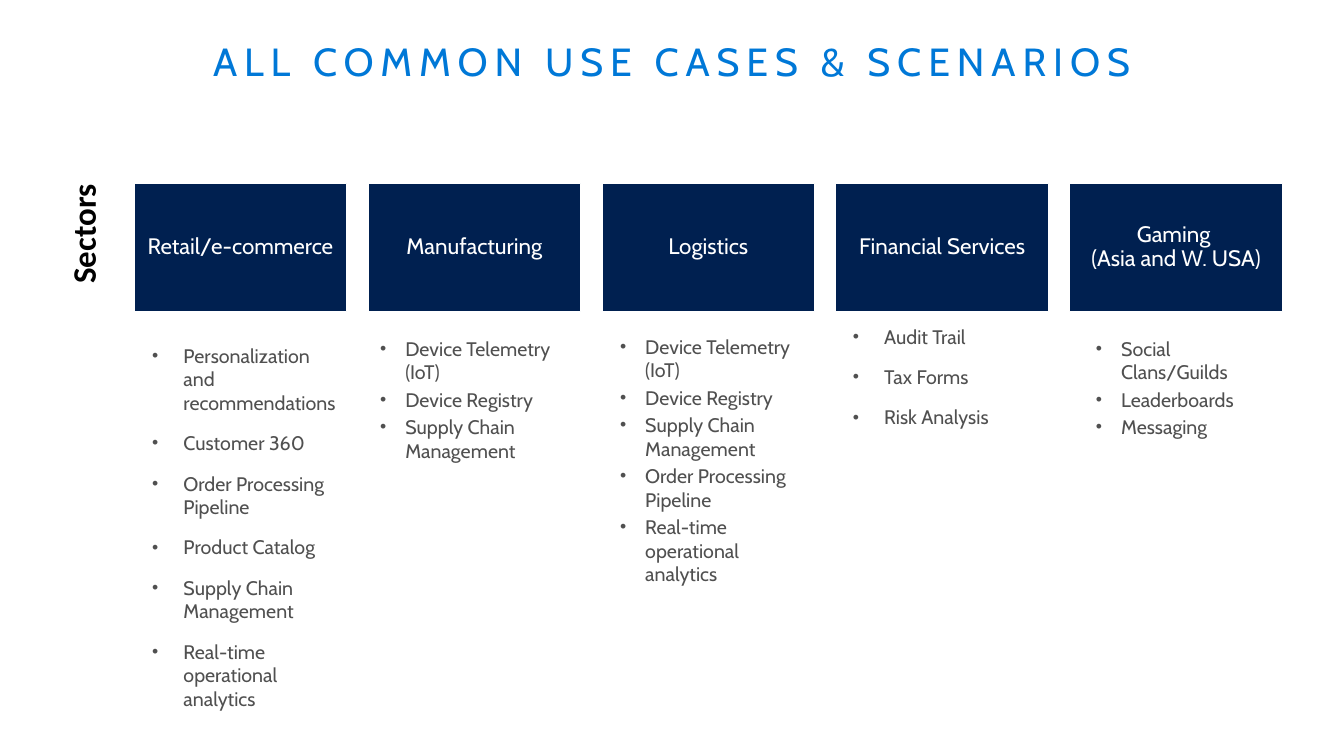
from dataclasses import dataclass

from lxml.etree import SubElement
from pptx import Presentation
from pptx.dml.color import RGBColor
from pptx.enum.shapes import MSO_SHAPE as Preset
from pptx.enum.text import MSO_ANCHOR as Anchor, MSO_AUTO_SIZE as AutoSize, PP_ALIGN as Align
from pptx.oxml.ns import qn
from pptx.slide import Slide
from pptx.text.text import TextFrame, _Paragraph as Paragraph
from pptx.util import Inches, Pt

COLORS = {"title": "0078D7", "header": "002050", "body": "505050", "white": "FFFFFF", "black": "000000"}
HEADER_LEFT, HEADER_TOP, HEADER_STEP = 1.33, 1.82, 2.32
HEADER_WIDTH, HEADER_HEIGHT = 2.11, 1.27


@dataclass
class Area:
    left: float
    top: float
    width: float
    height: float

    def lengths(self) -> list[Inches]:
        return [Inches(side) for side in (self.left, self.top, self.width, self.height)]


@dataclass
class Sector:
    name: str
    area: Area
    use_cases: list[str]
    placeholder: int | None = None  # index on the layout, or None for a text box


SECTORS = [
    Sector("Retail/e-commerce", Area(1.35, 3.31, 2.19, 3.87),
           ["Personalization and recommendations", "Customer 360", "Order Processing Pipeline",
            "Product Catalog", "Supply Chain Management", "Real-time operational analytics"], 1),
    Sector("Manufacturing", Area(3.55, 3.24, 2.25, 1.47),
           ["Device Telemetry (IoT)", "Device Registry", "Supply Chain Management"]),
    Sector("Logistics", Area(5.93, 3.22, 2.25, 2.75),
           ["Device Telemetry (IoT)", "Device Registry", "Supply Chain Management",
            "Order Processing Pipeline", "Real-time operational analytics"]),
    Sector("Financial Services", Area(8.3, 3.12, 2.1, 1.25),
           ["Audit Trail", "Tax Forms", "Risk Analysis"], 2),
    Sector("Gaming \n(Asia and W. USA)", Area(10.65, 3.24, 2.17, 1.24),
           ["Social Clans/Guilds", "Leaderboards", "Messaging"]),
]


def color(name: str) -> RGBColor:
    return RGBColor.from_string(COLORS[name])


def place(shape, area: Area) -> None:
    shape.left, shape.top, shape.width, shape.height = area.lengths()


def set_frame(frame: TextFrame, side: float, edge: float, anchor: Anchor = Anchor.TOP,
              fit: AutoSize = AutoSize.NONE) -> None:
    frame.margin_left = frame.margin_right = Inches(side)
    frame.margin_top = frame.margin_bottom = Inches(edge)
    frame.word_wrap = True
    frame.vertical_anchor = anchor
    frame.auto_size = fit


def set_font(para: Paragraph, size: float, color_name: str, name: str = "Cabin") -> None:
    para.font.name = name
    para.font.size = Pt(size)
    para.font.color.rgb = color(color_name)


def add_bullet(para: Paragraph, hanging: float) -> None:
    properties = para._p.get_or_add_pPr()
    properties.set("marL", str(Inches(0.31)))
    properties.set("indent", str(-Inches(hanging)))
    bullet_color = SubElement(properties, qn("a:buClr"))
    SubElement(bullet_color, qn("a:srgbClr"), val=COLORS["body"])
    SubElement(properties, qn("a:buSzPct"), val="90000")
    SubElement(properties, qn("a:buFont"), typeface="Arial")
    SubElement(properties, qn("a:buChar"), char="•")


def draw_title(slide: Slide, text: str) -> None:
    title = slide.shapes.title
    place(title, Area(0.29, 0.32, 12.75, 0.98))
    set_frame(title.text_frame, 0.16, 0.1)
    para = title.text_frame.paragraphs[0]
    span = para.add_run()
    span.text = text
    span._r.get_or_add_rPr().set("spc", "500")
    para.alignment = Align.CENTER
    para.line_spacing = 0.9
    set_font(para, 28, "title")


def draw_use_cases(slide: Slide, sector: Sector) -> None:
    if sector.placeholder is None:
        box = slide.shapes.add_textbox(*sector.area.lengths())
        hanging, gap = 0.25, 2.8
    else:
        box = slide.placeholders[sector.placeholder]
        place(box, sector.area)
        hanging, gap = 0.31, 12
    frame = box.text_frame
    set_frame(frame, 0.16, 0.1, fit=AutoSize.SHAPE_TO_FIT_TEXT)
    frame.text = "\n".join(sector.use_cases)
    for index, para in enumerate(frame.paragraphs):
        add_bullet(para, hanging)
        para.space_before = Pt(gap if index else 0)
        set_font(para, 14, "body")


def draw_header(slide: Slide, column: int, name: str) -> None:
    area = Area(HEADER_LEFT + column * HEADER_STEP, HEADER_TOP, HEADER_WIDTH, HEADER_HEIGHT)
    box = slide.shapes.add_shape(Preset.RECTANGLE, *area.lengths())
    box.shadow.inherit = False
    box.fill.solid()
    box.fill.fore_color.rgb = color("header")
    box.line.color.rgb = color("white")
    box.line.width = Pt(0.85)
    set_frame(box.text_frame, 0.07, 0.07, Anchor.MIDDLE)
    para = box.text_frame.paragraphs[0]
    para.text = name
    para.alignment = Align.CENTER
    para.line_spacing = 0.9
    set_font(para, 16, "white")


def draw_side_label(slide: Slide, text: str) -> None:
    box = slide.shapes.add_textbox(*Area(-0.27, 2.41, 2.23, 0.67).lengths())
    box.rotation = 270
    set_frame(box.text_frame, 0.2, 0.16, fit=AutoSize.SHAPE_TO_FIT_TEXT)
    para = box.text_frame.paragraphs[0]
    para.text = text
    para.alignment = Align.RIGHT
    para.line_spacing = 0.9
    set_font(para, 23.5, "black", "Calibri")
    para.font.bold = True


def main() -> None:
    deck = Presentation()
    deck.slide_width, deck.slide_height = Inches(13.33), Inches(7.5)
    page = deck.slides.add_slide(deck.slide_layouts.get_by_name("Two Content"))

    # Title and row label
    draw_title(page, "ALL COMMON USE CASES & SCENARIOS")
    draw_side_label(page, "Sectors")

    # One header and one list per sector
    for column, sector in enumerate(SECTORS):
        draw_header(page, column, sector.name)
        draw_use_cases(page, sector)

    deck.save("out.pptx")


if __name__ == "__main__":
    main()
